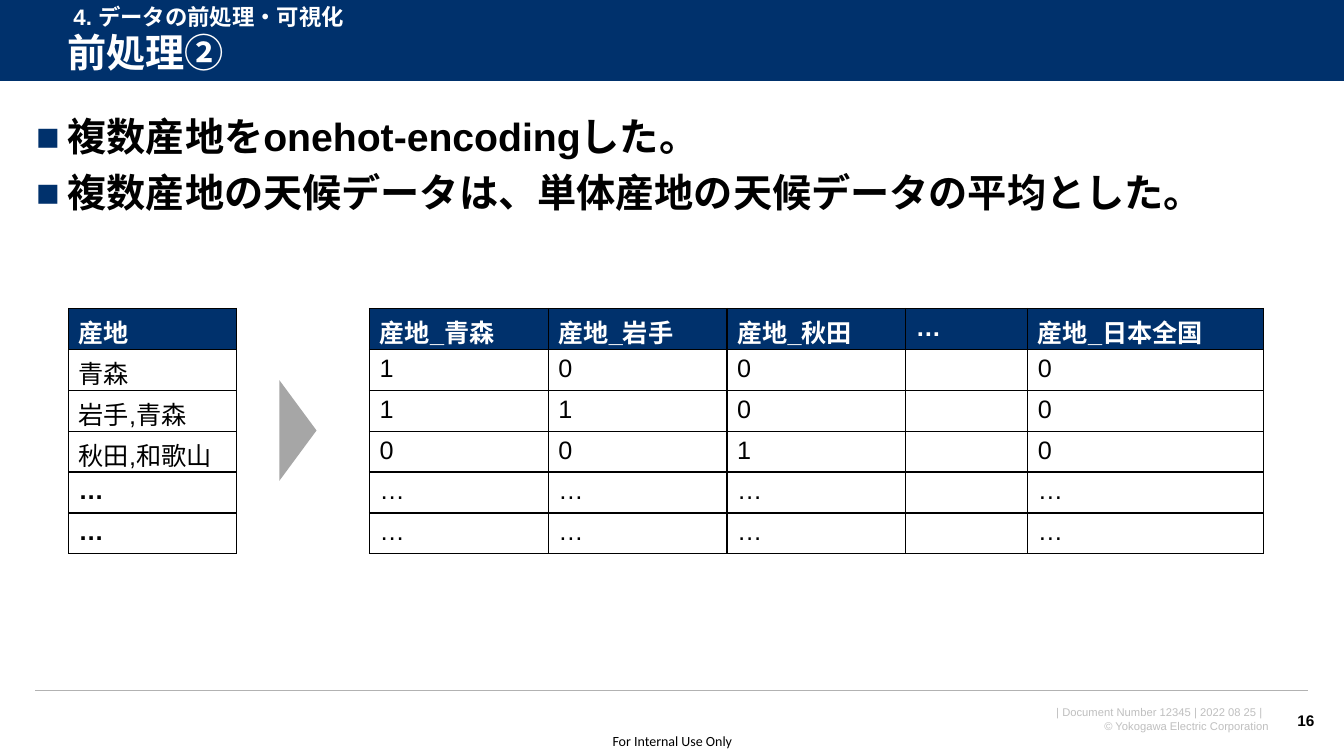
from lxml import etree
from pptx import Presentation
from pptx.dml.color import RGBColor
from pptx.enum.shapes import MSO_CONNECTOR, MSO_SHAPE
from pptx.enum.text import MSO_ANCHOR, PP_ALIGN
from pptx.oxml.ns import qn
from pptx.util import Pt

LEFT, CENTER, RIGHT = PP_ALIGN.LEFT, PP_ALIGN.CENTER, PP_ALIGN.RIGHT
TOP, MIDDLE = MSO_ANCHOR.TOP, MSO_ANCHOR.MIDDLE
COLORS = {"navy": "00316C", "white": "FFFFFF", "black": "000000",
          "arrow": "A6A6A6", "rule": "B2B2B2", "footer": "BFBFBF"}

SECTION = "4. データの前処理・可視化"
TITLE = "前処理②"
BULLETS = ["複数産地をonehot-encodingした。",
           "複数産地の天候データは、単体産地の天候データの平均とした。"]
FOOTER = ["| Document Number 12345 | 2022 08 25 |  ",
          "© Yokogawa Electric Corporation"]
CLASSIFICATION = "For Internal Use Only"
PAGE_NUMBER = "16"
ORIGINS = [["産地"], ["青森"], ["岩手,青森"], ["秋田,和歌山"], ["…"], ["…"]]
ENCODED = [
    ["産地_青森", "産地_岩手", "産地_秋田", "…", "産地_日本全国"],
    ["1", "0", "0", "", "0"],
    ["1", "1", "0", "", "0"],
    ["0", "0", "1", "", "0"],
    ["…", "…", "…", "", "…"],
    ["…", "…", "…", "", "…"],
]

SLIDE_WIDTH, SLIDE_HEIGHT = 960, 540
BAR_HEIGHT = 58
TABLE_TOP, ROW_HEIGHT = 220.4, 29.2


def rgb(name):
    return RGBColor.from_string(COLORS[name])


def style(para, size, color, bold=False, font="Arial", align=LEFT):
    para.alignment = align
    for span in para.runs:
        span.font.name = font
        span.font.size = Pt(size)
        span.font.bold = bold
        span.font.color.rgb = rgb(color)


def place(shape, left, top, width, height):
    shape.left, shape.top = Pt(left), Pt(top)
    shape.width, shape.height = Pt(width), Pt(height)


def add_text(slide, area, lines, size, color, anchor=TOP, wrap=True, **look):
    box = slide.shapes.add_textbox(*map(Pt, area))
    frame = box.text_frame
    frame.word_wrap = wrap
    frame.vertical_anchor = anchor
    frame.text = "\n".join(lines)
    for para in frame.paragraphs:
        style(para, size, color, **look)
    return frame


def add_block(slide, kind, area, color):
    shape = slide.shapes.add_shape(kind, *map(Pt, area))
    shape.shadow.inherit = False
    shape.fill.solid()
    shape.fill.fore_color.rgb = rgb(color)
    shape.line.fill.background()
    return shape


def add_rule(slide, left, right, y, color, weight):
    rule = slide.shapes.add_connector(
        MSO_CONNECTOR.STRAIGHT, Pt(left), Pt(y), Pt(right), Pt(y))
    rule.line.color.rgb = rgb(color)
    rule.line.width = Pt(weight)
    etree.SubElement(rule.element.spPr, qn("a:effectLst"))


def add_bullet(para):
    properties = para._p.get_or_add_pPr()
    properties.set("marL", str(Pt(22.5)))
    properties.set("indent", str(-Pt(22.5)))
    color = etree.SubElement(properties, qn("a:buClr"))
    etree.SubElement(color, qn("a:srgbClr"), val=COLORS["navy"])
    etree.SubElement(properties, qn("a:buFont"), typeface="Arial")
    etree.SubElement(properties, qn("a:buChar"), char="■")


def add_borders(cell):
    properties = cell._tc.get_or_add_tcPr()
    for side in ("a:lnL", "a:lnR", "a:lnT", "a:lnB"):
        line = etree.SubElement(properties, qn(side), w=str(Pt(1)))
        fill = etree.SubElement(line, qn("a:solidFill"))
        etree.SubElement(fill, qn("a:srgbClr"), val=COLORS["black"])


def add_grid(slide, left, widths, rows, bold_dots=False):
    frame = slide.shapes.add_table(
        len(rows), len(widths), Pt(left), Pt(TABLE_TOP),
        Pt(sum(widths)), Pt(ROW_HEIGHT * len(rows)))
    table = frame.table
    table.horz_banding = False
    for column, width in zip(table.columns, widths):
        column.width = Pt(width)
    for r, values in enumerate(rows):
        table.rows[r].height = Pt(ROW_HEIGHT)
        header = r == 0
        for c, value in enumerate(values):
            cell = table.cell(r, c)
            add_borders(cell)
            cell.fill.solid()
            cell.fill.fore_color.rgb = rgb("navy" if header else "white")
            cell.text = value
            style(cell.text_frame.paragraphs[0], 18,
                  "white" if header else "black",
                  bold=header or (bold_dots and value == "…"))


def main():
    deck = Presentation()
    deck.slide_width, deck.slide_height = Pt(SLIDE_WIDTH), Pt(SLIDE_HEIGHT)
    slide = deck.slides.add_slide(deck.slide_layouts[5])

    add_text(slide, (682.5, 500.4, 231, 26.6), FOOTER, 8, "footer", align=RIGHT)
    mark = add_text(slide, (425.5, 519.1, 109.4, 20.9), [CLASSIFICATION], 10,
                    "black", anchor=MIDDLE, font="Calibri", align=CENTER)
    mark.margin_left = mark.margin_right = 0
    mark.margin_top = mark.margin_bottom = 0

    add_block(slide, MSO_SHAPE.RECTANGLE, (0, 0, SLIDE_WIDTH, BAR_HEIGHT), "navy")
    add_rule(slide, 0, SLIDE_WIDTH, BAR_HEIGHT, "white", 0.75)
    add_rule(slide, 25.2, 934.6, 493.2, "rule", 1)

    title = slide.shapes.title
    place(title, 41, 18.7, 897.8, 41)
    title.element.getparent().append(title.element)  # in front of the bar
    title.text_frame.text = TITLE
    title.text_frame.vertical_anchor = MIDDLE
    heading = title.text_frame.paragraphs[0]
    heading.line_spacing = 0.9
    style(heading, 28, "white", bold=True)

    add_text(slide, (914.4, 500.4, 31.7, 28.8), [PAGE_NUMBER], 11, "black",
             anchor=MIDDLE, wrap=False, bold=True, align=RIGHT)

    body = add_text(slide, (18.7, 80.6, 920.2, 41), BULLETS, 28, "black", bold=True)
    for index, para in enumerate(body.paragraphs):
        add_bullet(para)
        para.line_spacing = 0.9
        if index:
            para.space_before = Pt(10)

    add_text(slide, (45.4, -1.4, 223.2, 26.6), [SECTION], 16, "white", bold=True)

    add_grid(slide, 49, [120.2], ORIGINS, bold_dots=True)
    add_grid(slide, 264, [127.7, 127.7, 127.7, 87.1, 168.5], ENCODED)
    arrow = add_block(slide, MSO_SHAPE.ISOSCELES_TRIANGLE,
                      (176.8, 294.2, 72, 26.6), "arrow")
    arrow.rotation = 90

    deck.save("out.pptx")


if __name__ == "__main__":
    main()
